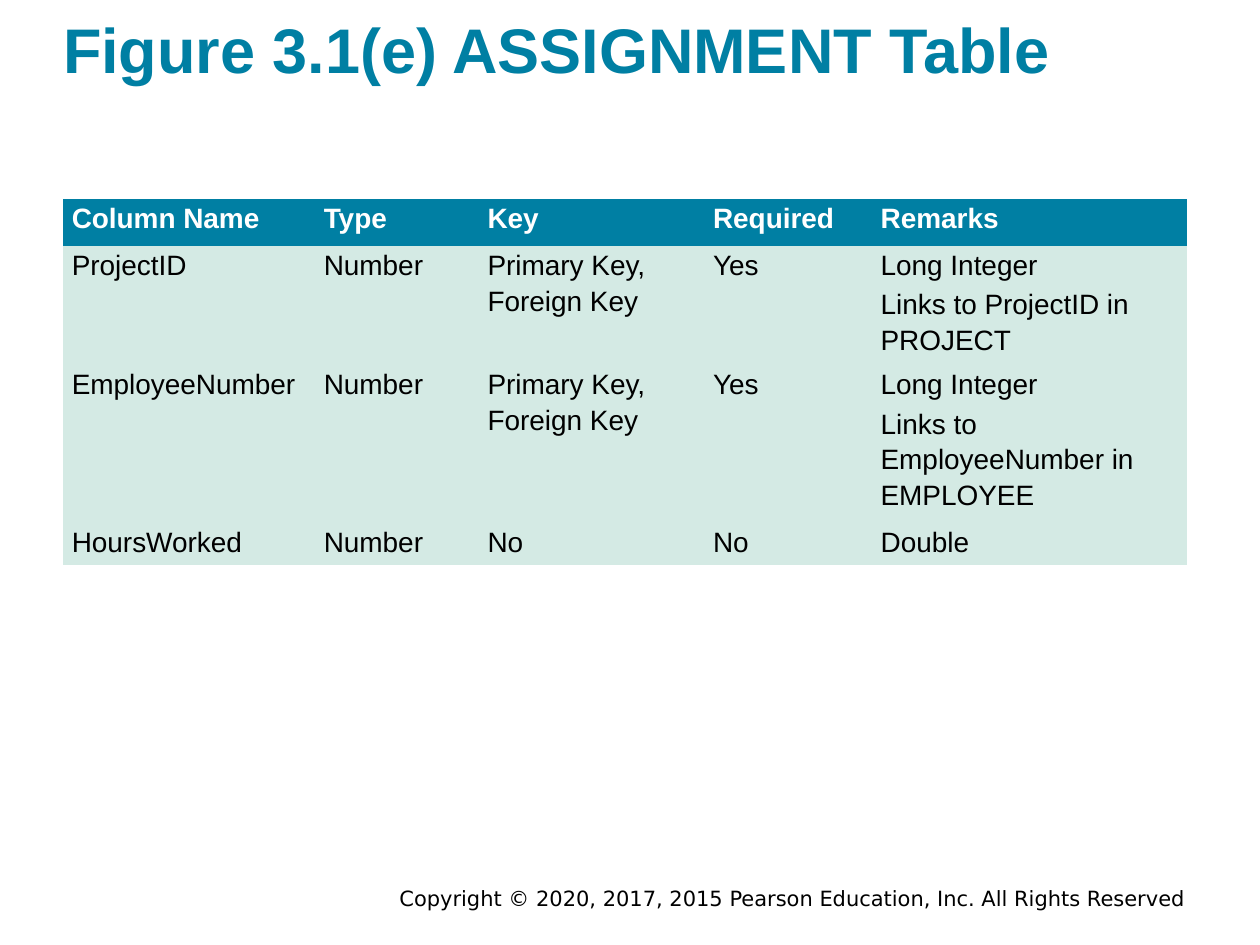
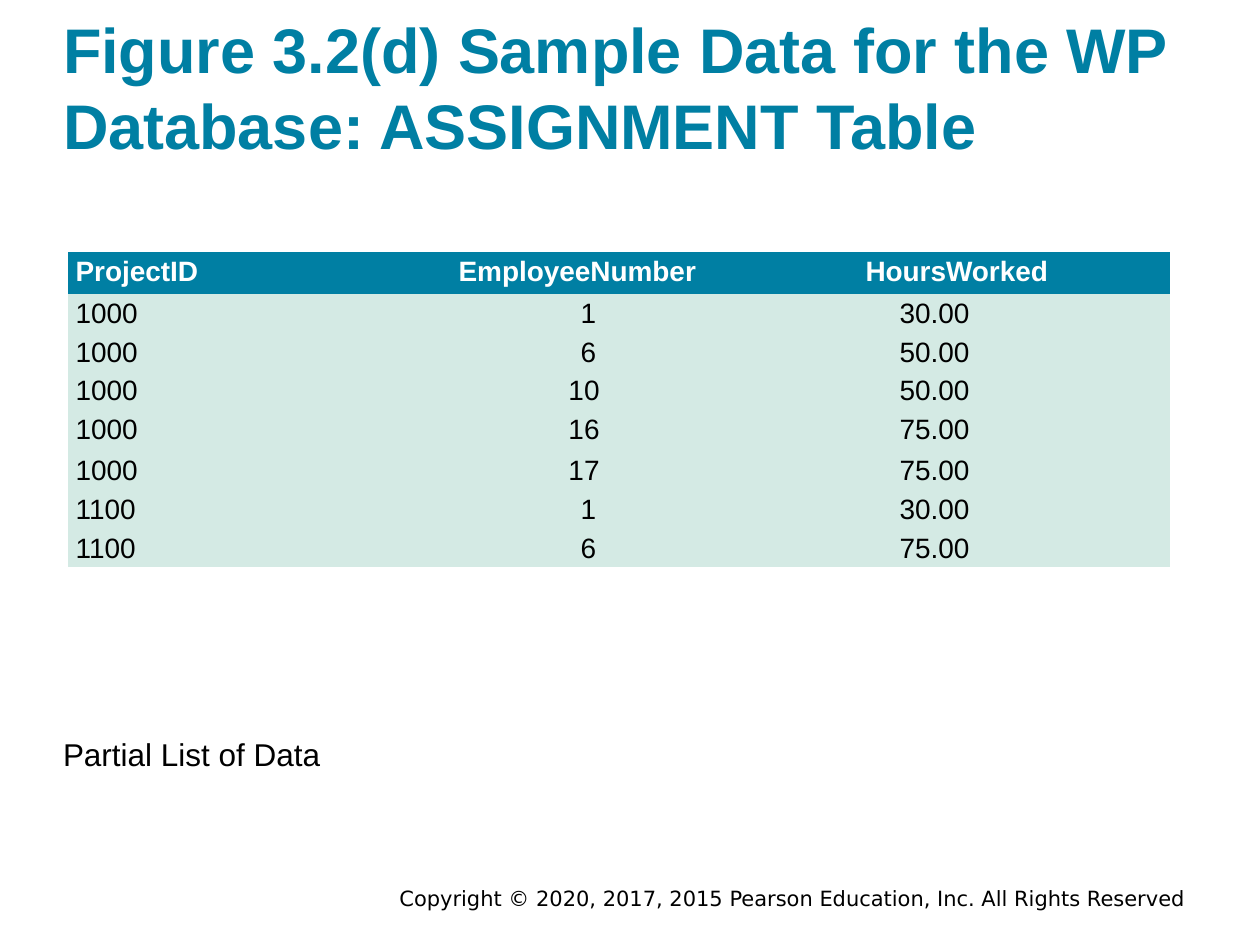
"""Builds two slides on the ASSIGNMENT table: its column definitions and its sample data."""
import pptx
import pptx.dml.color
import pptx.enum.text
import pptx.util

Inches = pptx.util.Inches
Pt = pptx.util.Pt
Align = pptx.enum.text.PP_ALIGN
Anchor = pptx.enum.text.MSO_ANCHOR

TEAL = pptx.dml.color.RGBColor(0x00, 0x7F, 0xA3)
MINT = pptx.dml.color.RGBColor(0xD4, 0xEA, 0xE4)
WHITE = pptx.dml.color.RGBColor(0xFF, 0xFF, 0xFF)
BLACK = pptx.dml.color.RGBColor(0x00, 0x00, 0x00)
PLAIN_STYLE = "{2D5ABB26-0587-4C30-8999-92F81FD0307C}"

LEFT, WIDTH = 0.5, 8.92
COPYRIGHT = "Copyright © 2020, 2017, 2015 Pearson Education, Inc. All Rights Reserved"

DEFINITION_TITLE = "Figure 3.1(e) ASSIGNMENT Table"
DEFINITIONS = [
    ("Column Name", "Type", "Key", "Required", "Remarks"),
    ("ProjectID", "Number", "Primary Key, Foreign Key", "Yes",
     "Long Integer\nLinks to ProjectID in PROJECT"),
    ("EmployeeNumber", "Number", "Primary Key, Foreign Key", "Yes",
     "Long Integer\nLinks to EmployeeNumber in EMPLOYEE"),
    ("HoursWorked", "Number", "No", "No", "Double"),
]
DEFINITION_WIDTHS = [2, 1.3, 1.79, 1.33, 2.5]
DEFINITION_HEIGHTS = [0.37, 0.75, 1, 0.33]

SAMPLE_TITLE = "Figure 3.2(d) Sample Data for the WP Database: ASSIGNMENT Table"
SAMPLES = [
    ("ProjectID", "EmployeeNumber", "HoursWorked"),
    ("1000", "1", "30.00"),
    ("1000", "6", "50.00"),
    ("1000", "10", "50.00"),
    ("1000", "16", "75.00"),
    ("1000", "17", "75.00"),
    ("1100", "1", "30.00"),
    ("1100", "6", "75.00"),
]
SAMPLE_WIDTHS = [2.04, 3.67, 3.04]
SAMPLE_HEIGHTS = [0.33, 0.24, 0.24, 0.26, 0.33, 0.26, 0.24, 0.24]
SAMPLE_CAPTION = "Partial List of Data"


def write(frame, text, size=16, color=BLACK, bold=False, font="Arial",
          align=Align.LEFT, spacing=1.0, before=0):
    """Fill a text frame, one paragraph for each line of the text."""
    frame.word_wrap = True
    for index, line in enumerate(text.split("\n")):
        paragraph = frame.add_paragraph() if index else frame.paragraphs[0]
        paragraph.alignment = align
        paragraph.line_spacing = spacing
        paragraph.space_before = Pt(before if index else 0)
        run = paragraph.add_run()
        run.text = line
        run.font.name = font
        run.font.size = Pt(size)
        run.font.bold = bold
        run.font.color.rgb = color


def add_text(slide, text, left, top, width, height, inset=True, anchor=Anchor.TOP, **style):
    """Place a text box, with or without its default insets."""
    frame = slide.shapes.add_textbox(*map(Inches, (left, top, width, height))).text_frame
    frame.vertical_anchor = anchor
    if not inset:
        frame.margin_left = frame.margin_right = frame.margin_top = frame.margin_bottom = 0
    write(frame, text, **style)


def add_titled_slide(deck, title, top, height):
    """Add a blank slide with the shared copyright line and title."""
    slide = deck.slides.add_slide(deck.slide_layouts[6])
    add_text(slide, COPYRIGHT, 1.68, 6.98, 7.83, 0.3,
             size=12, font="DejaVu Sans", align=Align.RIGHT)
    add_text(slide, title, LEFT, top, WIDTH, height, inset=False, anchor=Anchor.MIDDLE,
             size=36, color=TEAL, bold=True)
    return slide


def definition_layout(row, column, text):
    """Return left margin, right margin and alignment of a definition cell."""
    return 0.07, 0.07, Align.LEFT


def sample_layout(row, column, text):
    """Return left margin, right margin and alignment of a sample data cell."""
    if row == 0:
        return (0.06, 1.06, 0.62)[column], 0, Align.LEFT
    if column == 1:
        return (1.57 if len(text) == 1 else 1.5), 1.06, Align.CENTER
    return (0.06 if column == 0 else 0.89), 0, Align.LEFT


def add_grid(slide, rows, left, top, widths, heights, layout):
    """Add a table with a teal header row above mint body rows."""
    table = slide.shapes.add_table(
        len(rows), len(widths), Inches(left), Inches(top),
        Inches(sum(widths)), Inches(sum(heights))).table
    table.horz_banding = False
    table._tbl.tblPr[0].text = PLAIN_STYLE
    for column, width in zip(table.columns, widths):
        column.width = Inches(width)
    for row, height in zip(table.rows, heights):
        row.height = Inches(height)
    for r, values in enumerate(rows):
        header = r == 0
        for c, value in enumerate(values):
            cell = table.cell(r, c)
            cell.fill.solid()
            cell.fill.fore_color.rgb = TEAL if header else MINT
            margin_left, margin_right, align = layout(r, c, value)
            cell.margin_left, cell.margin_right = Inches(margin_left), Inches(margin_right)
            cell.margin_top = cell.margin_bottom = 0
            write(cell.text_frame, value, color=WHITE if header else BLACK,
                  bold=header, align=align, spacing=1.15, before=2)


def main():
    """Build and save the deck."""
    deck = pptx.Presentation()
    deck.slide_width, deck.slide_height = Inches(10), Inches(7.5)

    definition = add_titled_slide(deck, DEFINITION_TITLE, 0.04, 0.68)
    add_grid(definition, DEFINITIONS, LEFT, 1.58,
             DEFINITION_WIDTHS, DEFINITION_HEIGHTS, definition_layout)

    sample = add_titled_slide(deck, SAMPLE_TITLE, 0.06, 1.25)
    add_text(sample, SAMPLE_CAPTION, LEFT, 5.83, WIDTH, 0.3, inset=False, size=18)
    add_grid(sample, SAMPLES, 0.54, 2, SAMPLE_WIDTHS, SAMPLE_HEIGHTS, sample_layout)

    deck.save("out.pptx")


if __name__ == "__main__":
    main()
